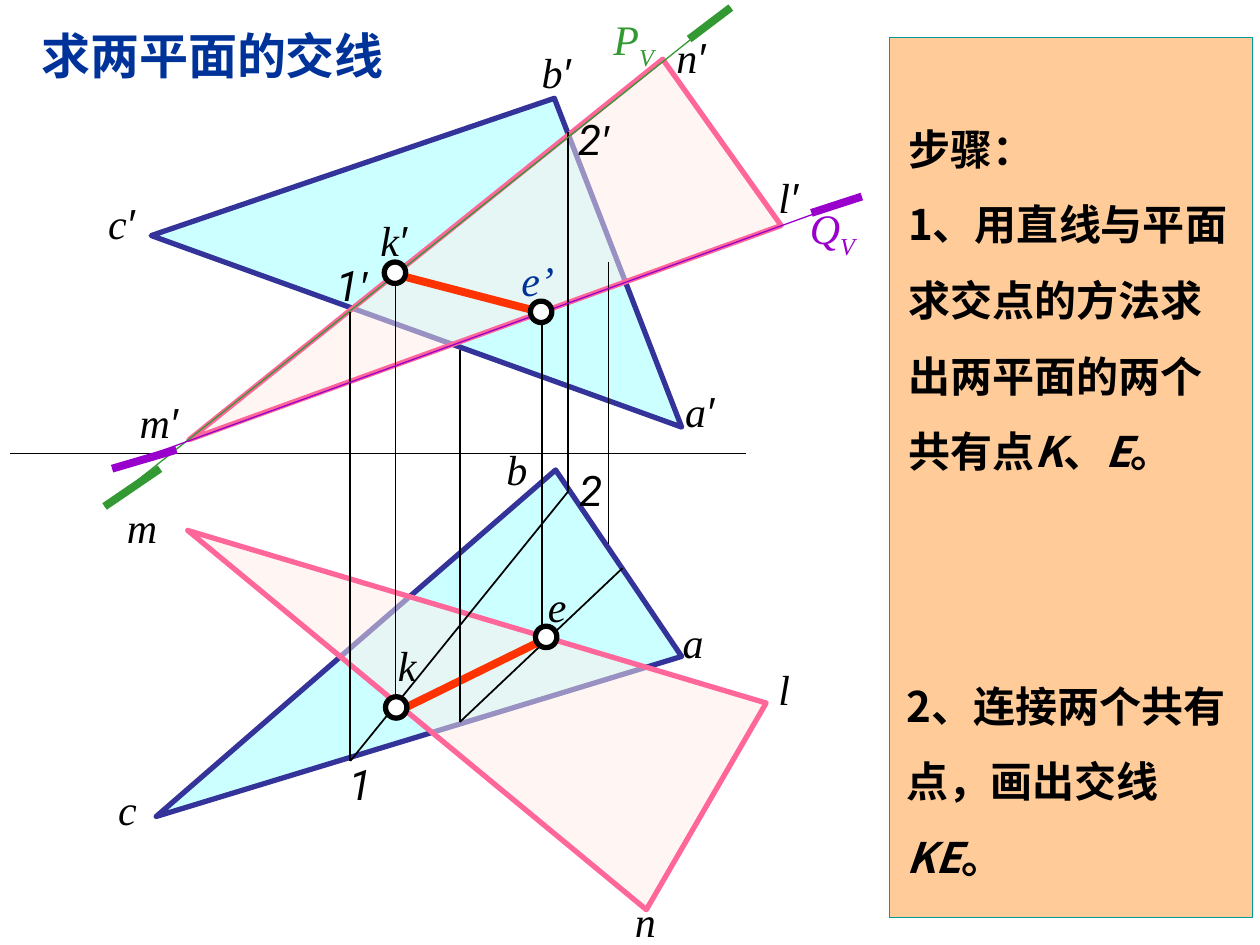
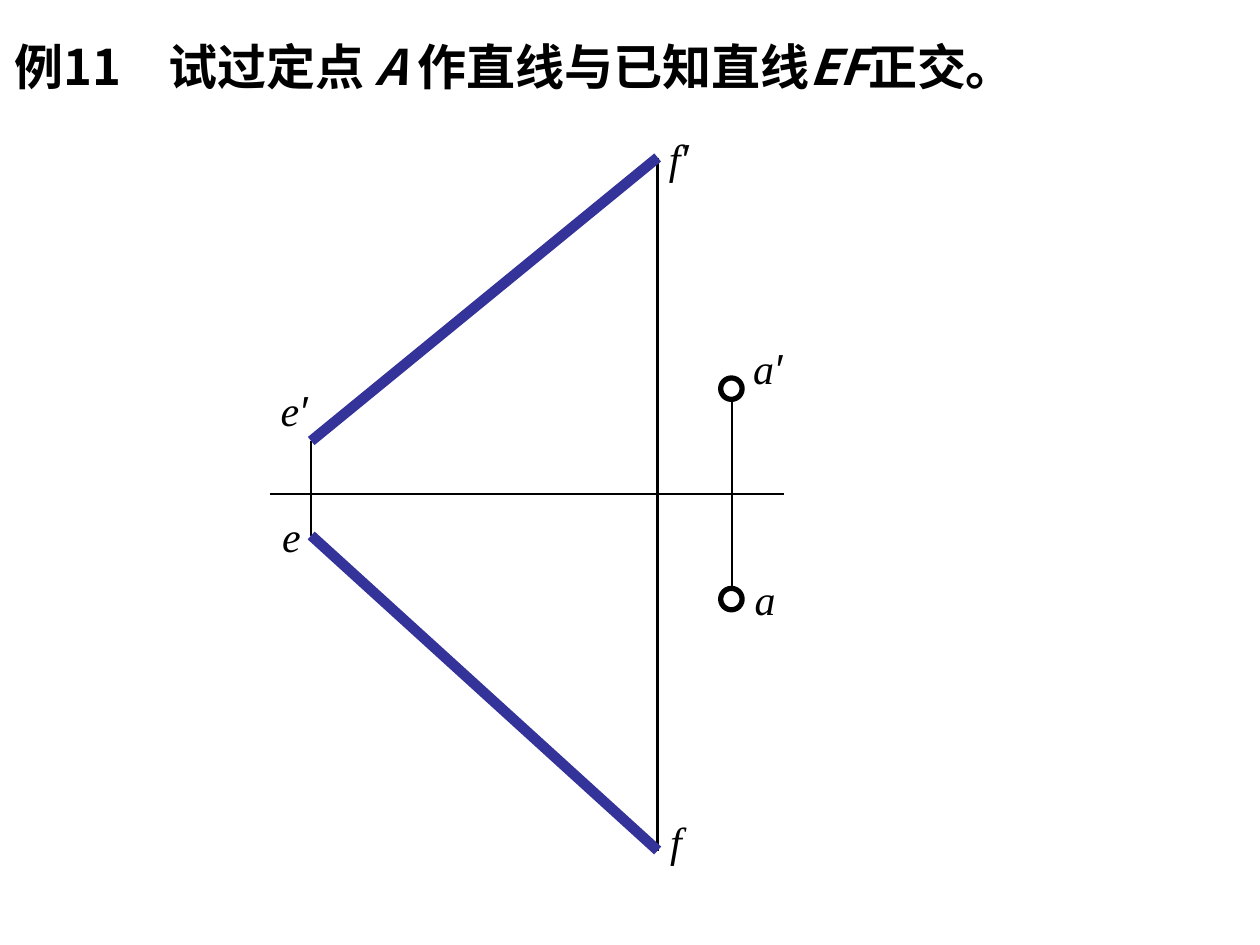
"""Two descriptive-geometry slides: intersection of two planes, and a perpendicular through a point."""
from lxml import etree
from pptx import Presentation
from pptx.dml.color import RGBColor
from pptx.enum.shapes import MSO_CONNECTOR, MSO_SHAPE
from pptx.oxml.ns import qn
from pptx.util import Pt

STRAIGHT = MSO_CONNECTOR.STRAIGHT
OVAL = MSO_SHAPE.OVAL
RECT = MSO_SHAPE.RECTANGLE

PX = 9144
COLORS = {
    "black": "000000", "white": "FFFFFF", "title": "003399", "edge": "333399",
    "plane": "CCFFFF", "pink": "FF6699", "pale": "FFEFEB", "answer": "FF3300",
    "green": "339933", "purple": "9900CC", "panel": "FFCC99", "teal": "009999",
}
RGB = {name: RGBColor.from_string(value) for name, value in COLORS.items()}
SERIF, SANS, DIGIT, CJK = "Times New Roman", "Arial", "Roboto", "Noto Sans CJK SC"


def add_line(sl, x1, y1, x2, y2, color="black", width=1):
    """Draw a straight line without a shadow."""
    cn = sl.shapes.add_connector(STRAIGHT, x1 * PX, y1 * PX, x2 * PX, y2 * PX)
    cn.line.color.rgb = RGB[color]
    cn.line.width = Pt(width)
    etree.SubElement(cn._element.spPr, qn("a:effectLst"))


def add_text(sl, x, y, w, h, paras, size=24, color="black", bold=False, spacing=None, tab=None):
    """Write paragraphs made of (text, font, italic, baseline) runs."""
    tf = sl.shapes.add_textbox(x * PX, y * PX, w * PX, h * PX).text_frame
    tf.word_wrap = True
    for i, runs in enumerate(paras):
        p = tf.add_paragraph() if i else tf.paragraphs[0]
        if spacing:
            p.line_spacing = spacing
        if tab:
            tabs = etree.SubElement(p._p.get_or_add_pPr(), qn("a:tabLst"))
            etree.SubElement(tabs, qn("a:tab"), pos=str(tab * PX), algn="l")
        for text, font, italic, baseline in runs:
            r = p.add_run()
            r.text = text
            r.font.size = Pt(size)
            r.font.bold = bold
            r.font.italic = italic
            r.font.color.rgb = RGB[color]
            r.font.name = font
            rPr = r._r.get_or_add_rPr()
            etree.SubElement(rPr, qn("a:ea"), typeface=font)
            if baseline:
                rPr.set("baseline", str(baseline * 1000))


prs = Presentation()
prs.slide_width = 1000 * PX
prs.slide_height = 750 * PX
planes = prs.slides.add_slide(prs.slide_layouts[6])
perpendicular = prs.slides.add_slide(prs.slide_layouts[6])

add_line(planes, 8, 360, 592, 360, width=0.75)

triangles = [
    ([(124, 648), (441, 373), (541, 521)], "plane", "edge", 100),
    ([(120, 187), (440, 78), (541, 339)], "plane", "edge", 100),
    ([(149, 421), (608, 558), (513, 722)], "pale", "pink", 50),
    ([(526, 47), (150, 349), (620, 179)], "pale", "pink", 50),
]
for corners, fill, line, opacity in triangles:
    fb = planes.shapes.build_freeform(*corners[0], scale=PX)
    fb.add_line_segments(corners[1:], close=True)
    sp = fb.convert_to_shape()
    sp.shadow.inherit = False
    sp.fill.solid()
    sp.fill.fore_color.rgb = RGB[fill]
    sp.line.color.rgb = RGB[line]
    sp.line.width = Pt(3)
    if opacity < 100:
        clr = sp._element.spPr.find(qn("a:solidFill"))[0]
        etree.SubElement(clr, qn("a:alpha"), val=str(opacity * 1000))

plane_lines = [
    (278, 604, 451, 390), (483, 208, 483, 432), (365, 573, 494, 451),
    (311, 217, 430, 248, "answer", 4.5), (317, 564, 435, 506, "answer", 4.5),
    (365, 278, 365, 573), (451, 105, 451, 390), (278, 248, 278, 604),
    (314, 562, 314, 217), (430, 502, 430, 248),
    (83, 402, 580, 6, "green", 0.75), (83, 402, 127, 372, "green", 4.5),
    (547, 31, 580, 6, "green", 4.5),
    (89, 372, 684, 156, "purple", 0.75), (89, 372, 140, 357, "purple", 4.5),
    (644, 169, 684, 156, "purple", 4.5),
]
perpendicular_lines = [
    (522, 125, 522, 675, "black", 1.5), (247, 350, 247, 425, "black", 1.5),
    (214, 392, 622, 392, "black", 1.5), (581, 308, 581, 475, "black", 1.5),
    (522, 125, 247, 350, "edge", 6), (247, 425, 522, 675, "edge", 6),
]
plane_points = [(305, 208), (306, 553), (421, 239), (425, 497)]
perpendicular_points = [(572, 467), (572, 300)]
plane_labels = [
    ("b", 392, 347), ("a", 532, 484), ("c", 84, 617),
    ("c′", 76, 152), ("b′", 420, 32), ("a′", 534, 301),
    ("l", 608, 522), ("l′", 608, 131), ("n", 494, 706),
    ("m", 91, 393), ("m′", 101, 310), ("n′", 527, 20),
    ("1′", 257, 201), ("2′", 449, 85), ("2", 450, 364), ("1", 267, 597),
    ("k′", 292, 165), ("k", 306, 503), ("e", 425, 456),
]
perpendicular_labels = [
    ("a′", 588, 267), ("e", 214, 400), ("f", 522, 642),
    ("a", 589, 450), ("f′", 521, 100), ("e′", 213, 300),
]
drawings = [
    (planes, plane_lines, plane_points, plane_labels),
    (perpendicular, perpendicular_lines, perpendicular_points, perpendicular_labels),
]
for sl, lines, points, labels in drawings:
    for line in lines:
        add_line(sl, *line)
    for x, y in points:
        sp = sl.shapes.add_shape(OVAL, x * PX, y * PX, 17 * PX, 17 * PX)
        sp.shadow.inherit = False
        sp.fill.solid()
        sp.fill.fore_color.rgb = RGB["white"]
        sp.line.color.rgb = RGB["black"]
        sp.line.width = Pt(3)
    for name, x, y in labels:
        font = DIGIT if name[0].isdigit() else SERIF
        runs = [(name[0], font, True, 0)]
        if name.endswith("′"):
            runs.append(("′", SANS, True, 0))
        add_text(sl, x, y, 83, 50, [runs])

add_text(planes, 404, 197, 83, 50, [[("e’", SERIF, True, 0)]], color="title")
for name, x, y, color in (("P", 477, 6, "green"), ("Q", 633, 156, "purple")):
    runs = [(name, SERIF, True, 0), ("V", SERIF, True, -25)]
    add_text(planes, x, y, 83, 56, [runs], color=color)

panel = planes.shapes.add_shape(RECT, 706 * PX, 30 * PX, 288 * PX, 698 * PX)
panel.shadow.inherit = False
panel.fill.solid()
panel.fill.fore_color.rgb = RGB["panel"]
panel.line.color.rgb = RGB["teal"]
panel.line.width = Pt(0.75)

find_points = [
    [("步骤：", CJK, False, 0)],
    [("1、用直线与平面求交点的方法求出两平面的两个共有点", CJK, False, 0),
     ("K", CJK, True, 0), ("、", CJK, False, 0),
     ("E", CJK, True, 0), ("。", CJK, False, 0)],
]
join_points = [
    [("2、连接两个共有点，画出交线", CJK, False, 0),
     ("KE", CJK, True, 0), ("。", CJK, False, 0)],
]
add_text(planes, 711, 73, 284, 310, find_points, bold=True, spacing=1.5)
add_text(planes, 710, 515, 290, 130, join_points, bold=True, spacing=1.5)

add_text(planes, 23, 15, 320, 57, [[("求两平面的交线", SANS, False, 0)]],
         size=28, color="title", bold=True)
exercise = [
    ("例11\t试过定点 ", CJK, False, 0), ("A ", CJK, True, 0),
    ("作直线与已知直线", CJK, False, 0), ("EF", CJK, True, 0),
    ("正交。", CJK, False, 0),
]
add_text(perpendicular, 2, 24, 872, 57, [exercise], size=28, bold=True, tab=122)

prs.save("out.pptx")
